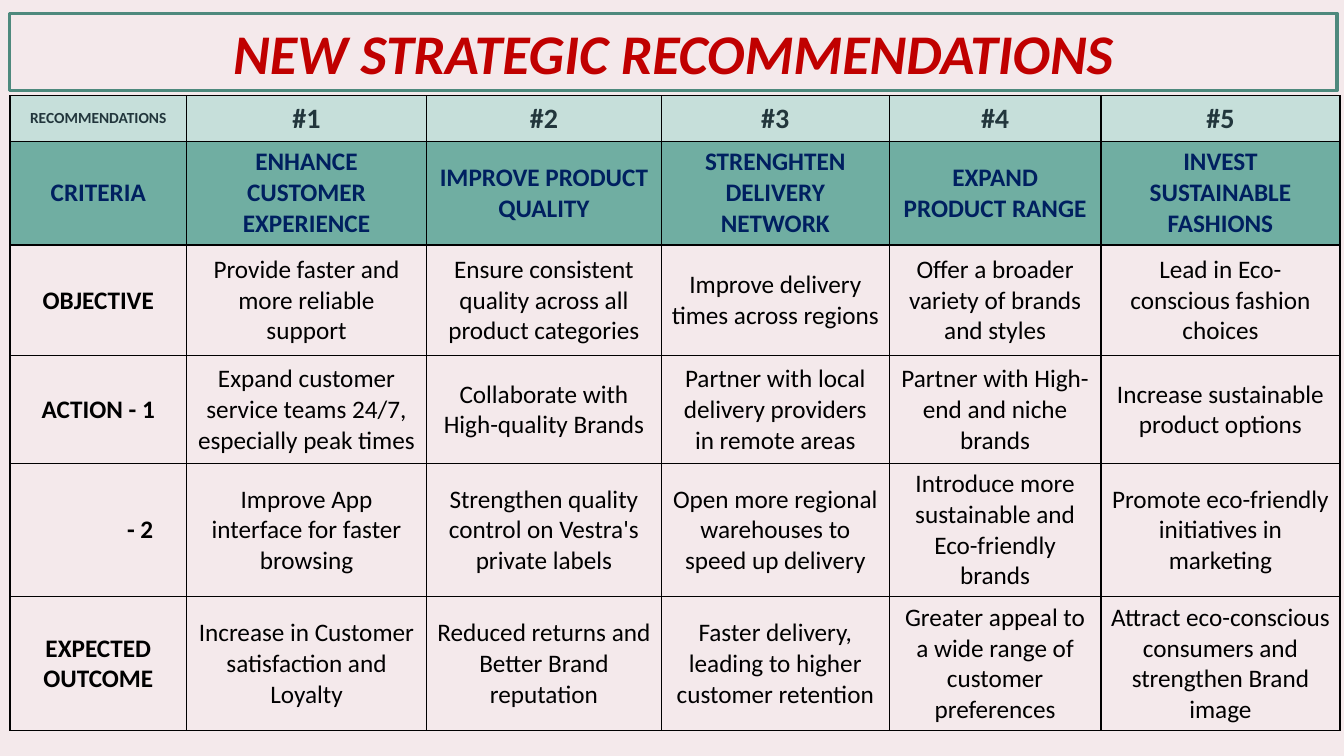
from lxml.etree import SubElement
from pptx import Presentation
from pptx.dml.color import RGBColor
from pptx.enum.text import MSO_ANCHOR, MSO_AUTO_SIZE, PP_ALIGN
from pptx.oxml.ns import qn
from pptx.util import Inches, Pt

TITLE = "NEW STRATEGIC RECOMMENDATIONS"
ROWS = [
    ("RECOMMENDATIONS", "#1", "#2", "#3", "#4", "#5"),
    ("CRITERIA", "ENHANCE CUSTOMER EXPERIENCE", "IMPROVE PRODUCT QUALITY",
     "STRENGHTEN DELIVERY NETWORK", "EXPAND PRODUCT RANGE",
     "INVEST SUSTAINABLE FASHIONS"),
    ("OBJECTIVE", "Provide faster and more reliable support",
     "Ensure consistent quality across all product categories",
     "Improve delivery times across regions",
     "Offer a broader variety of brands and styles",
     "Lead in Eco-conscious fashion choices"),
    ("ACTION - 1", "Expand customer service teams 24/7, especially peak times",
     "Collaborate with High-quality Brands",
     "Partner with local delivery providers in remote areas",
     "Partner with High-end and niche brands",
     "Increase sustainable product options"),
    ("- 2", "Improve App interface for faster browsing",
     "Strengthen quality control on Vestra's private labels",
     "Open more regional warehouses to speed up delivery",
     "Introduce more sustainable and Eco-friendly brands",
     "Promote eco-friendly initiatives in marketing"),
    ("EXPECTED OUTCOME", "Increase in Customer satisfaction and Loyalty",
     "Reduced returns and Better Brand reputation",
     "Faster delivery, leading to higher customer retention",
     "Greater appeal to a wide range of customer preferences",
     "Attract eco-conscious consumers and strengthen Brand image"),
]
COLUMN_WIDTHS = (1.75, 2.38, 2.33, 2.26, 2.1, 2.37)
ROW_HEIGHTS = (0.45, 1.03, 1.1, 1.07, 1.32, 1.33)
TITLE_BOX = (0.09, 0.13, 13.17, 0.77)
TABLE_BOX = (0.1, 0.95, sum(COLUMN_WIDTHS), sum(ROW_HEIGHTS))

THEME = {
    "font": "Calibri",
    "background": "F4E9EB", "title": "C00000", "frame": "4E897D",
    "border": "000000",
    "title_size": 40, "corner_size": 11, "number_size": 20, "body_size": 18,
    "frame_width": 2.25, "border_width": 1,
}
# Fill and text colour of each row
HEADER_ROWS = [("C6DFDA", "22363C"), ("70AEA2", "002060")]
BODY_ROW = (None, "000000")


def style_text(paragraph, size, color, align=PP_ALIGN.CENTER, **flags):
    paragraph.alignment = align
    formats = {"name": THEME["font"], "size": Pt(size), **flags}
    for name, value in formats.items():
        setattr(paragraph.font, name, value)
    paragraph.font.color.rgb = RGBColor.from_string(color)


def add_borders(cell):
    properties = cell._tc.get_or_add_tcPr()
    for side in ("lnL", "lnR", "lnT", "lnB"):
        line = SubElement(properties, qn(f"a:{side}"),
                          w=str(Pt(THEME["border_width"])))
        fill = SubElement(line, qn("a:solidFill"))
        SubElement(fill, qn("a:srgbClr"), val=THEME["border"])


def add_title(page):
    title = page.shapes.title
    for name, value in zip(("left", "top", "width", "height"), TITLE_BOX):
        setattr(title, name, Inches(value))
    title.line.color.rgb = RGBColor.from_string(THEME["frame"])
    title.line.width = Pt(THEME["frame_width"])
    frame = title.text_frame
    frame.text = TITLE
    frame.word_wrap = True
    frame.auto_size = MSO_AUTO_SIZE.NONE
    frame.vertical_anchor = MSO_ANCHOR.MIDDLE
    style_text(frame.paragraphs[0], THEME["title_size"], THEME["title"],
               bold=True, italic=True)


def fill_cell(cell, text, row, column):
    is_header = row < len(HEADER_ROWS)
    fill, color = HEADER_ROWS[row] if is_header else BODY_ROW
    size = THEME["body_size"]
    if row == 0:
        size = THEME["number_size"] if column else THEME["corner_size"]
    align = PP_ALIGN.CENTER
    if text == "- 2":  # lines up under the number of "ACTION - 1"
        align = PP_ALIGN.RIGHT
        cell.margin_right = Inches(0.33)
    cell.text = text
    cell.vertical_anchor = MSO_ANCHOR.MIDDLE
    style_text(cell.text_frame.paragraphs[0], size, color, align,
               bold=is_header or column == 0)
    add_borders(cell)
    if fill:
        cell.fill.solid()
        cell.fill.fore_color.rgb = RGBColor.from_string(fill)
    else:
        cell.fill.background()


def add_recommendations(page):
    table = page.shapes.add_table(len(ROWS), len(COLUMN_WIDTHS),
                                  *map(Inches, TABLE_BOX)).table
    table.first_row = table.horz_banding = False
    for column, width in zip(table.columns, COLUMN_WIDTHS):
        column.width = Inches(width)
    for row, height in zip(table.rows, ROW_HEIGHTS):
        row.height = Inches(height)
    for row, texts in enumerate(ROWS):
        for column, text in enumerate(texts):
            fill_cell(table.cell(row, column), text, row, column)


def main():
    deck = Presentation()
    deck.slide_width, deck.slide_height = Inches(13.33), Inches(7.5)
    page = deck.slides.add_slide(deck.slide_layouts.get_by_name("Title Only"))
    page.background.fill.solid()
    page.background.fill.fore_color.rgb = RGBColor.from_string(THEME["background"])
    add_title(page)
    add_recommendations(page)
    deck.save("out.pptx")


if __name__ == "__main__":
    main()
